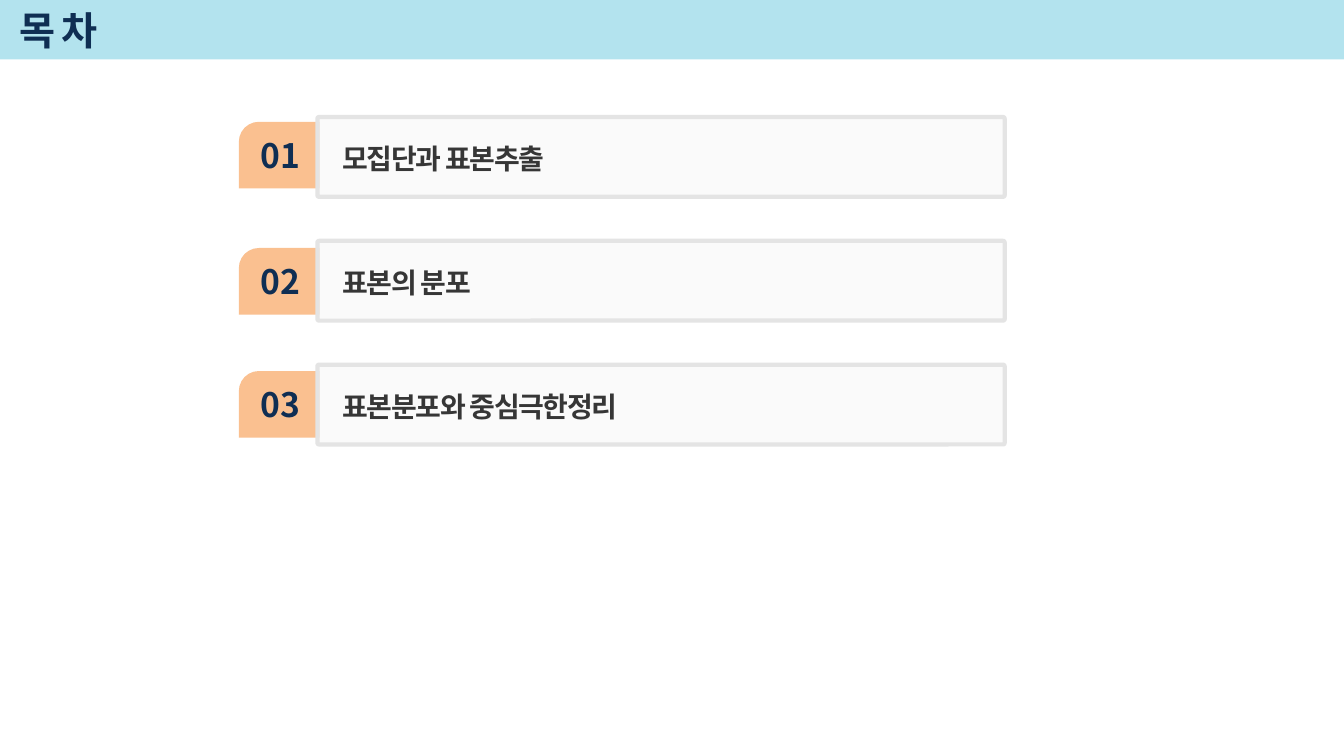
from dataclasses import dataclass

from lxml.etree import SubElement
from pptx import Presentation
from pptx.dml.color import RGBColor
from pptx.enum.shapes import MSO_SHAPE as Preset
from pptx.enum.text import MSO_ANCHOR as Anchor, MSO_AUTO_SIZE as AutoSize, PP_ALIGN as Align
from pptx.oxml.ns import qn
from pptx.util import Cm, Pt

FONT = "Noto Sans CJK KR"
COLORS = {
    "band": "B3E3EE",
    "badge": "FAC090",
    "panel": "F2F2F2",
    "border": "E4E4E4",
    "navy": "0F2E53",
    "charcoal": "363636",
}
FIRST_PANEL_TOP = 2.95
PANEL_PITCH = 3.12


@dataclass
class Chapter:
    number: str
    label: str
    badge_top: float


CHAPTERS = [
    Chapter("01", "모집단과 표본추출", 3.07),
    Chapter("02", "표본의 분포", 6.25),
    Chapter("03", "표본분포와 중심극한정리", 9.35),
]


def rgb(name: str) -> RGBColor:
    return RGBColor.from_string(COLORS[name])


def add_filled_shape(slide, preset, left: float, top: float, width: float, height: float, color: str):
    shape = slide.shapes.add_shape(preset, Cm(left), Cm(top), Cm(width), Cm(height))
    shape.shadow.inherit = False
    shape.fill.solid()
    shape.fill.fore_color.rgb = rgb(color)
    shape.line.fill.background()
    return shape


def format_text(shape, text: str, size: float, color: str, spacing: int = 0):
    """Fill the shape with one bold run; spacing is in hundredths of a point."""
    shape.text_frame.text = text
    paragraph = shape.text_frame.paragraphs[0]
    font = paragraph.runs[0].font
    font.size, font.bold, font.name = Pt(size), True, FONT
    font.color.rgb = rgb(color)
    properties = paragraph.runs[0]._r.get_or_add_rPr()
    properties.set("spc", str(spacing))
    SubElement(properties, qn("a:ea")).set("typeface", FONT)
    return paragraph


def add_text_box(slide, left: float, top: float, width: float, height: float, wrap: bool):
    box = slide.shapes.add_textbox(Cm(left), Cm(top), Cm(width), Cm(height))
    box.text_frame.word_wrap = wrap
    box.text_frame.auto_size = AutoSize.SHAPE_TO_FIT_TEXT
    return box


def add_header(slide) -> None:
    band = add_filled_shape(slide, Preset.RECTANGLE, 0, -0.05, 33.87, 1.55, "band")
    title = slide.shapes.title
    title._element.addprevious(band._element)
    title.left, title.top, title.width, title.height = Cm(0.23), Cm(0.1), Cm(28.83), Cm(1.32)
    paragraph = format_text(title, "목 차", 28, "navy", -100)
    paragraph.alignment = Align.LEFT
    title.text_frame.vertical_anchor = Anchor.MIDDLE


def add_chapter(slide, chapter: Chapter, panel_top: float) -> None:
    badge = add_filled_shape(slide, Preset.SNIP_ROUND_RECTANGLE, 6.02, chapter.badge_top, 2.03, 1.68, "badge")
    badge.adjustments[0], badge.adjustments[1] = 0.3, 0

    panel = add_filled_shape(slide, Preset.ROUNDED_RECTANGLE, 8, panel_top, 17.32, 2.01, "panel")
    panel.adjustments[0] = 0.02
    panel.line.color.rgb = rgb("border")
    panel.line.width = Pt(3)
    fill_color = panel._element.spPr.find(qn("a:solidFill"))[0]
    SubElement(fill_color, qn("a:alpha")).set("val", "33000")

    number = add_text_box(slide, 6.32, chapter.badge_top + 0.2, 1.5, 1.27, wrap=False)
    format_text(number, chapter.number, 24, "navy").alignment = Align.CENTER

    label = add_text_box(slide, 8.38, panel_top + 0.41, 13.41, 1.12, wrap=True)
    paragraph = format_text(label, chapter.label, 20, "charcoal", -100)
    paragraph.line_spacing = 1.1
    paragraph.space_before, paragraph.space_after = Pt(18), Pt(3)


def main() -> None:
    presentation = Presentation()
    presentation.slide_width, presentation.slide_height = Cm(33.87), Cm(19.05)
    slide = presentation.slides.add_slide(presentation.slide_layouts[5])
    add_header(slide)
    for index, chapter in enumerate(CHAPTERS):
        add_chapter(slide, chapter, FIRST_PANEL_TOP + index * PANEL_PITCH)
    presentation.save("out.pptx")


if __name__ == "__main__":
    main()
